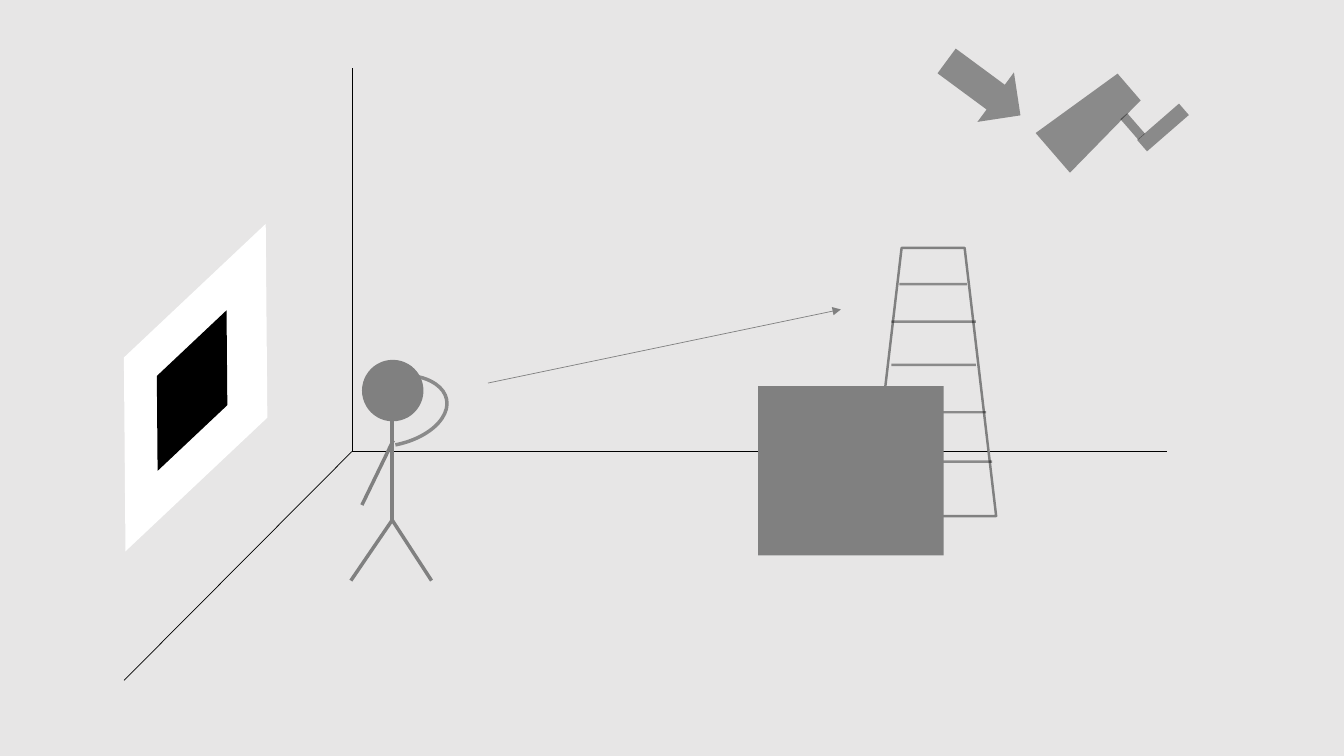
import lxml.etree
import pptx
import pptx.dml.color
import pptx.enum.shapes
import pptx.oxml.ns
import pptx.util

Inches = pptx.util.Inches
Shape = pptx.enum.shapes.MSO_SHAPE

# Each ink is a colour and its opacity in percent
THEME = {
    "backdrop": ("E7E6E6", 100),
    "black": ("000000", 100),
    "white": ("FFFFFF", 100),
    "gray": ("808080", 100),
    "shade": ("000000", 40),
    "thin": 0.5,
    "ladder": 1.75,
    "figure": 2.5,
}


def paint(fill, ink):
    """Give a fill a solid theme ink, see-through where the ink asks for it."""
    color, opacity = THEME[ink]
    fill.solid()
    fill.fore_color.rgb = pptx.dml.color.RGBColor.from_string(color)
    if opacity < 100:
        color_element = fill._xPr.find(".//" + pptx.oxml.ns.qn("a:srgbClr"))
        alpha = lxml.etree.SubElement(color_element, pptx.oxml.ns.qn("a:alpha"))
        alpha.set("val", str(opacity * 1000))


def draw(shapes, kind, box, fill=None, line=None, width="thin", rotation=0, adjustments=()):
    """Add a preset shape in box (left, top, width, height), or a line when
    kind is None and box holds its two ends (x1, y1, x2, y2)."""
    lengths = [Inches(value) for value in box]
    if kind is None:
        shape = shapes.add_connector(pptx.enum.shapes.MSO_CONNECTOR.STRAIGHT, *lengths)
    else:
        shape = shapes.add_shape(kind, *lengths)
        shape.shadow.inherit = False
        shape.rotation = rotation
        for index, value in enumerate(adjustments):
            shape.adjustments[index] = value
        if fill:
            paint(shape.fill, fill)
        else:
            shape.fill.background()
    if line:
        paint(shape.line.fill, line)
        shape.line.width = pptx.util.Pt(THEME[width])
    else:
        shape.line.fill.background()
    if kind is None:
        lxml.etree.SubElement(shape._element.spPr, pptx.oxml.ns.qn("a:effectLst"))
    return shape


presentation = pptx.Presentation()
presentation.slide_width = Inches(13.33)
presentation.slide_height = Inches(7.5)
slide = presentation.slides.add_slide(presentation.slide_layouts[6])
paint(slide.background.fill, "backdrop")

# Room: three edges meeting in one corner
room = slide.shapes.add_group_shape()
for end in [(3.49, 0.67), (11.57, 4.48), (1.23, 6.75)]:
    draw(room.shapes, None, (3.49, 4.48, *end), line="black")

# Camera: body, wall mount and arm
draw(slide.shapes, Shape.TRAPEZOID, (10.56, 0.69, 0.52, 1), fill="shade",
     rotation=49.2, adjustments=[0.163])
draw(slide.shapes, Shape.RECTANGLE, (11.26, 1.19, 0.55, 0.15), fill="shade", rotation=139)
draw(slide.shapes, Shape.RECTANGLE, (11.1, 1.21, 0.27, 0.09), fill="shade", rotation=49)

# White panel on the left wall
draw(slide.shapes, Shape.PARALLELOGRAM, (0.32, 3.14, 3.24, 1.41), fill="white",
     rotation=136.7, adjustments=[0.927])

# Ladder: frame and rungs
ladder = slide.shapes.add_group_shape()
draw(ladder.shapes, Shape.TRAPEZOID, (8.63, 2.46, 1.25, 2.66), line="gray", width="ladder")
for left, right, y in [(8.92, 9.59, 2.82), (8.84, 9.68, 3.19), (8.84, 9.68, 3.62),
                       (8.76, 9.78, 4.09), (8.7, 9.84, 4.58)]:
    draw(ladder.shapes, None, (left, y, right, y), line="shade", width="ladder")

# Box in front of the ladder
draw(slide.shapes, Shape.RECTANGLE, (7.52, 3.83, 1.84, 1.68), fill="gray")

# Person: trunk, legs, straight arm, bent arm and head
person = slide.shapes.add_group_shape()
for limb in [(3.89, 4.18, 3.89, 5.16), (3.89, 5.16, 3.48, 5.76),
             (3.89, 5.16, 4.28, 5.76), (3.9, 4.37, 3.59, 5.01)]:
    draw(person.shapes, None, limb, line="gray", width="figure")
draw(person.shapes, Shape.ARC, (3.51, 3.49, 0.69, 1.17), line="shade", width="figure",
     rotation=79, adjustments=[138.5, 0])
draw(person.shapes, Shape.OVAL, (3.59, 3.57, 0.61, 0.61), fill="gray")

# Black square on the panel
draw(slide.shapes, Shape.PARALLELOGRAM, (1.11, 3.53, 1.59, 0.69), fill="black",
     rotation=136.7, adjustments=[0.927])

# Line of sight, with an arrowhead at its end
sight = draw(slide.shapes, None, (4.84, 3.8, 8.34, 3.07), line="gray")
arrowhead = lxml.etree.SubElement(sight.line._get_or_add_ln(), pptx.oxml.ns.qn("a:tailEnd"))
arrowhead.set("type", "triangle")

# Arrow pointing at the camera
draw(slide.shapes, Shape.RIGHT_ARROW, (9.3, 0.57, 0.91, 0.61), fill="shade", rotation=36.4)

presentation.save("out.pptx")
